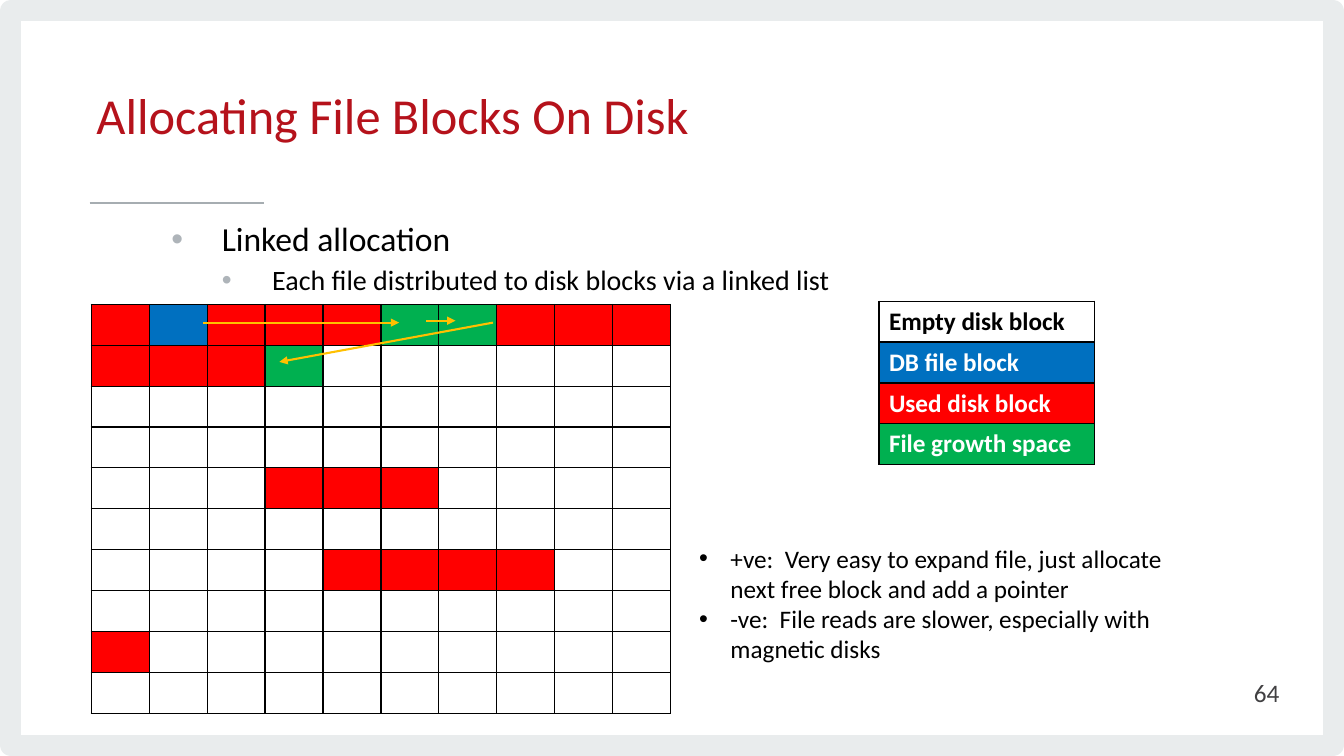
from lxml import etree
from pptx import Presentation
from pptx.dml.color import RGBColor
from pptx.enum.shapes import MSO_CONNECTOR, MSO_SHAPE
from pptx.enum.text import MSO_ANCHOR, PP_ALIGN
from pptx.oxml.ns import qn
from pptx.util import Cm, Pt

STRAIGHT = MSO_CONNECTOR.STRAIGHT
RECTANGLE = MSO_SHAPE.RECTANGLE
TOP, MIDDLE = MSO_ANCHOR.TOP, MSO_ANCHOR.MIDDLE
LEFT, RIGHT = PP_ALIGN.LEFT, PP_ALIGN.RIGHT

BLACK = RGBColor(0x00, 0x00, 0x00)
WHITE = RGBColor(0xFF, 0xFF, 0xFF)
RED = RGBColor(0xFF, 0x00, 0x00)
BLUE = RGBColor(0x00, 0x70, 0xC0)
GREEN = RGBColor(0x00, 0xB0, 0x50)
AMBER = RGBColor(0xFF, 0xC0, 0x00)
TITLE_RED = RGBColor(0xB5, 0x12, 0x1B)
FRAME_GREY = RGBColor(0xE9, 0xEC, 0xED)
RULE_GREY = RGBColor(0xA6, 0xAD, 0xB1)
BULLET_GREY = RGBColor(0xAE, 0xB4, 0xB9)
NUMBER_GREY = RGBColor(0x41, 0x40, 0x42)
FONT = "Calibri"

# Content
TITLE = "Allocating File Blocks On Disk"
PAGE_NUMBER = "64"
# text, size, left margin in cm
OUTLINE = [
    ("Linked allocation", 24, 3.18),
    ("Each file distributed to disk blocks via a linked list", 20, 4.45),
]
REMARKS = [
    "+ve:  Very easy to expand file, just allocate next free block and add a pointer",
    "-ve:  File reads are slower, especially with magnetic disks",
]
# One letter per disk block: U used, D database file, G growth, . empty
DISK = [
    "UDUUUGGUUU",
    "UUUG......",
    "..........",
    "..........",
    "...UUU....",
    "..........",
    "....UUUU..",
    "..........",
    "U.........",
    "..........",
]
BLOCK_FILLS = {"U": RED, "D": BLUE, "G": GREEN, ".": None}
LEGEND = [
    (".", "Empty disk block"),
    ("D", "DB file block"),
    ("U", "Used disk block"),
    ("G", "File growth space"),
]
# Links between file blocks: x1, y1, x2, y2 in cm
LINKS = [
    (5.11, 8.13, 10.06, 8.13),
    (10.74, 8.08, 11.48, 8.08),
    (12.42, 8.13, 7.04, 9.12),
]
ROW_HEIGHT = 1.03

presentation = Presentation()
presentation.slide_width = Cm(33.87)
presentation.slide_height = Cm(19.05)
slide = presentation.slides.add_slide(presentation.slide_layouts[6])


def style_paragraph(paragraph, size, color, bold=False):
    for run in paragraph.runs:
        run.font.name = FONT
        run.font.size = Pt(size)
        run.font.bold = bold
        run.font.color.rgb = color


def add_text(lines, left, top, width, height, anchor=TOP):
    box = slide.shapes.add_textbox(Cm(left), Cm(top), Cm(width), Cm(height))
    frame = box.text_frame
    frame.word_wrap = True
    frame.vertical_anchor = anchor
    frame.text = "\n".join(lines)
    return frame.paragraphs


def add_bullet(paragraph, margin, hanging, color):
    properties = paragraph._p.get_or_add_pPr()
    properties.set("marL", str(Cm(margin)))
    properties.set("indent", str(-Cm(hanging)))
    bullet_color = etree.SubElement(properties, qn("a:buClr"))
    etree.SubElement(bullet_color, qn("a:srgbClr"), val=str(color))
    etree.SubElement(properties, qn("a:buFont"), typeface="Arial")
    etree.SubElement(properties, qn("a:buChar"), char="•")


def add_line(x1, y1, x2, y2, color, width, arrow=False):
    connector = slide.shapes.add_connector(STRAIGHT, Cm(x1), Cm(y1), Cm(x2), Cm(y2))
    connector.line.color.rgb = color
    connector.line.width = Pt(width)
    if arrow:
        etree.SubElement(connector.line._get_or_add_ln(), qn("a:tailEnd"), type="triangle")
    etree.SubElement(connector._element.spPr, qn("a:effectLst"))


def style_cell(cell, fill):
    properties = cell._tc.get_or_add_tcPr()
    for side in ("a:lnL", "a:lnR", "a:lnT", "a:lnB"):
        border = etree.SubElement(properties, qn(side), w=str(Pt(1)))
        solid = etree.SubElement(border, qn("a:solidFill"))
        etree.SubElement(solid, qn("a:srgbClr"), val=str(BLACK))
    if fill is None:
        cell.fill.background()
    else:
        cell.fill.solid()
        cell.fill.fore_color.rgb = fill


def add_block_table(rows, left, top, column_width):
    """Draw rows of (block letter, text) cells."""
    columns = len(rows[0])
    table = slide.shapes.add_table(
        len(rows), columns, Cm(left), Cm(top),
        Cm(column_width * columns), Cm(ROW_HEIGHT * len(rows))).table
    table.first_row = table.horz_banding = False
    for column in table.columns:
        column.width = Cm(column_width)
    for row_index, row in enumerate(rows):
        table.rows[row_index].height = Cm(ROW_HEIGHT)
        for column_index, (block, text) in enumerate(row):
            cell = table.cell(row_index, column_index)
            style_cell(cell, BLOCK_FILLS[block])
            if text:
                cell.text = text
                color = BLACK if block == "." else WHITE
                style_paragraph(cell.text_frame.paragraphs[0], 18, color, bold=True)


# Slide frame and rule under the title
frame_shape = slide.shapes.add_shape(RECTANGLE, Cm(0.27), Cm(0.27), Cm(33.33), Cm(18.51))
frame_shape.shadow.inherit = False
frame_shape.fill.background()
frame_shape.line.color.rgb = FRAME_GREY
frame_shape.line.width = Pt(15.11)
add_line(2.26, 5.11, 6.65, 5.11, RULE_GREY, 1.33)

# Outline
for index, (paragraph, (_, size, margin)) in enumerate(zip(
        add_text([text for text, _, _ in OUTLINE], 2.16, 5.49, 27.05, 11.68), OUTLINE)):
    paragraph.line_spacing = 0.9
    paragraph.space_before = Pt(5 if index else 0)
    add_bullet(paragraph, margin, 1.27, BULLET_GREY)
    style_paragraph(paragraph, size, BLACK)

# Title and page number
title = add_text([TITLE], 2.18, 1.32, 22.33, 3.4, MIDDLE)[0]
title.alignment = LEFT
title.line_spacing = Pt(34.7)
style_paragraph(title, 36, TITLE_RED)
number = add_text([PAGE_NUMBER], 24.87, 16.94, 7.62, 1.02, MIDDLE)[0]
number.alignment = RIGHT
style_paragraph(number, 18, NUMBER_GREY)

# Disk map and legend
add_block_table([[(block, "") for block in row] for row in DISK], 2.3, 7.67, 1.46)
add_block_table([[entry] for entry in LEGEND], 22.15, 7.59, 5.44)

# Remarks
for paragraph in add_text(REMARKS, 17.37, 13.56, 12.93, 3.33):
    add_bullet(paragraph, 0.79, 0.79, BLACK)
    style_paragraph(paragraph, 18, BLACK)

# Links between file blocks
for link in LINKS:
    add_line(*link, AMBER, 1.5, arrow=True)

presentation.save("out.pptx")
